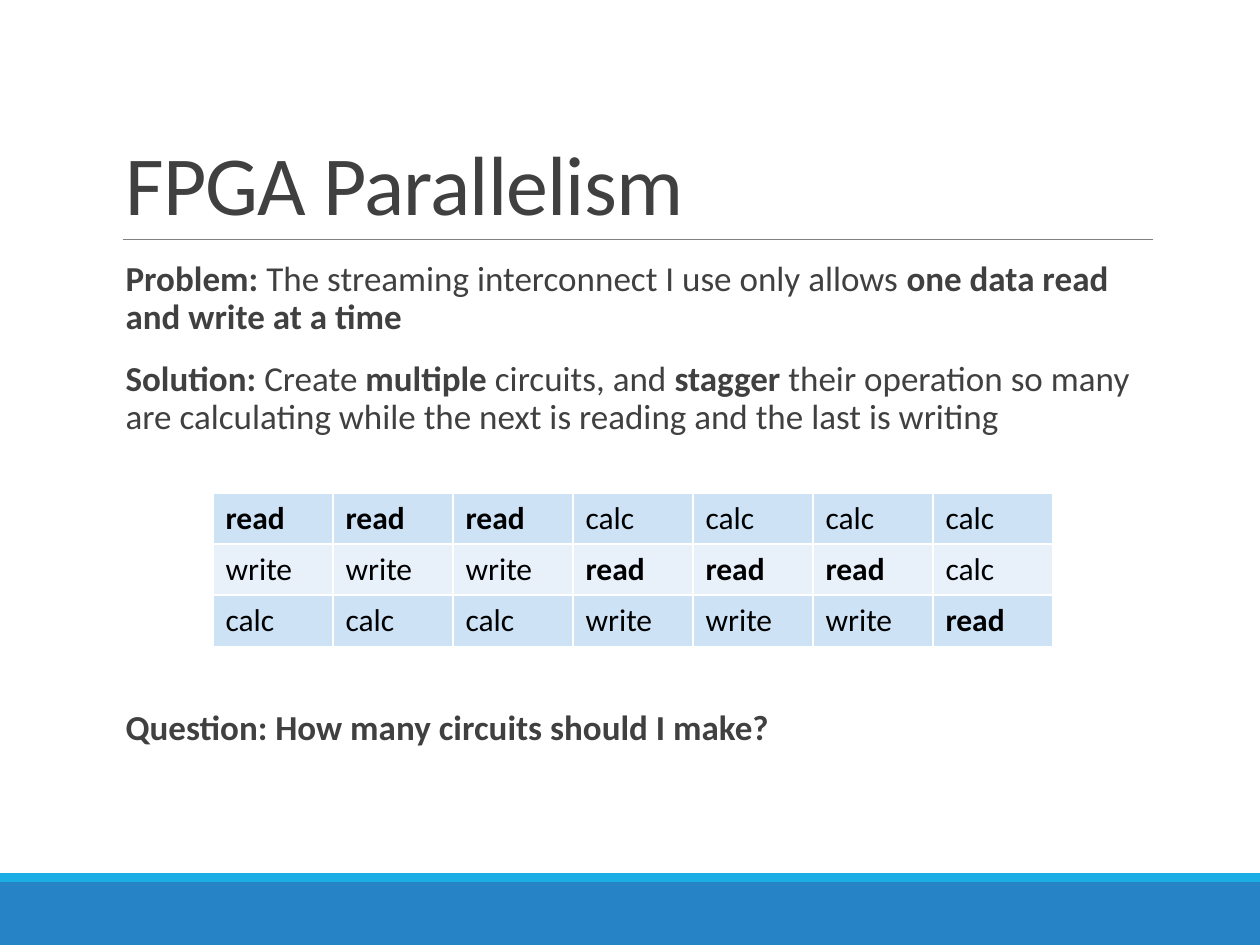
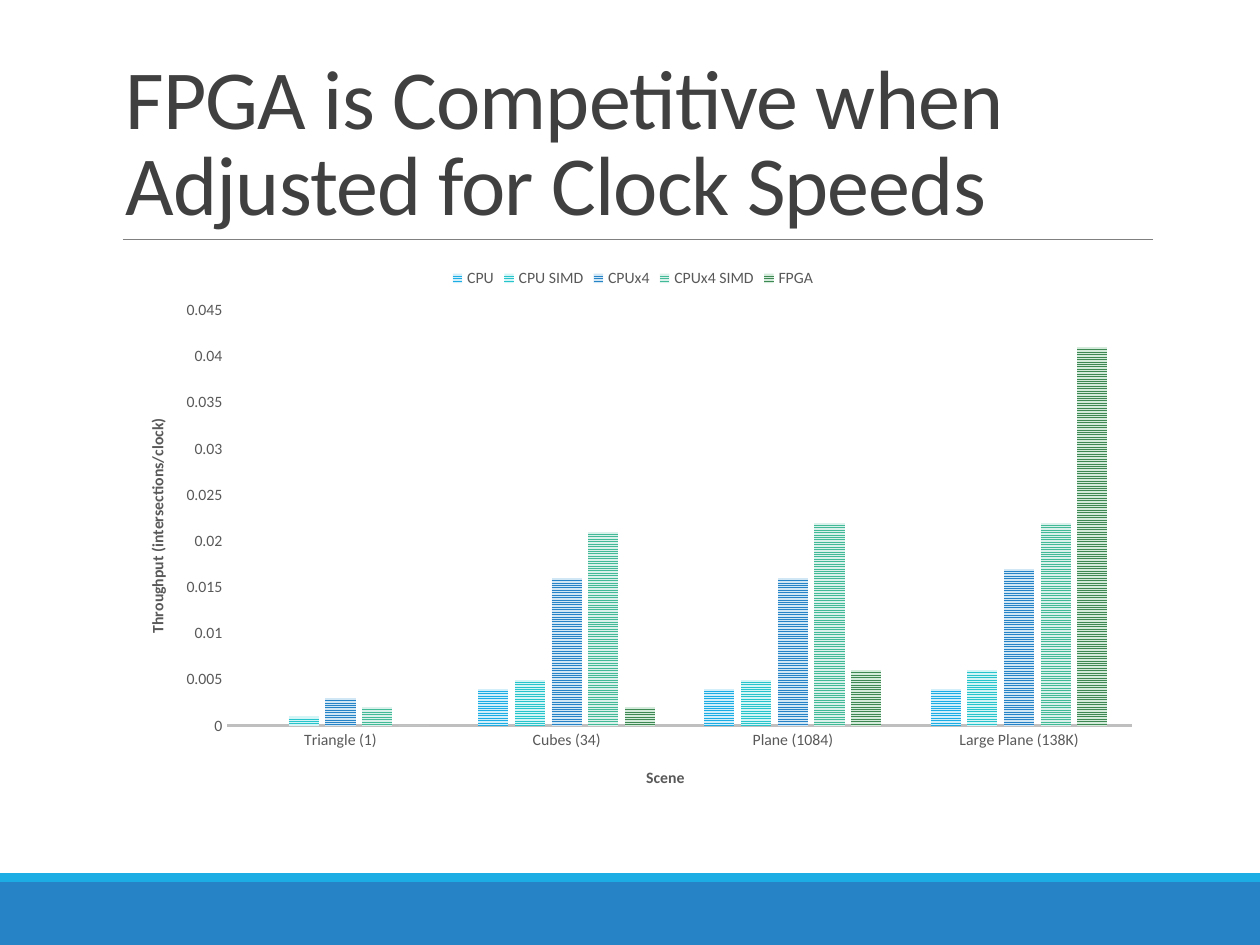
from lxml import etree
from pptx import Presentation
from pptx.chart.data import CategoryChartData
from pptx.dml.color import RGBColor
from pptx.enum.chart import XL_CHART_TYPE, XL_LEGEND_POSITION, XL_TICK_MARK
from pptx.enum.dml import MSO_PATTERN
from pptx.enum.shapes import MSO_CONNECTOR, MSO_SHAPE
from pptx.enum.text import MSO_ANCHOR, MSO_AUTO_SIZE, PP_ALIGN
from pptx.oxml.ns import qn
from pptx.util import Pt

COLUMN_CLUSTERED = XL_CHART_TYPE.COLUMN_CLUSTERED
LEGEND_TOP = XL_LEGEND_POSITION.TOP
NO_TICKS = XL_TICK_MARK.NONE
STRIPES = MSO_PATTERN.NARROW_HORIZONTAL
STRAIGHT = MSO_CONNECTOR.STRAIGHT
RECTANGLE = MSO_SHAPE.RECTANGLE
BOTTOM, TOP = MSO_ANCHOR.BOTTOM, MSO_ANCHOR.TOP
NO_AUTOFIT = MSO_AUTO_SIZE.NONE
LEFT = PP_ALIGN.LEFT

EMU_PER_PX = 914400 / 126
FONT = "Calibri"
COLORS = {
    "text": "404040", "black": "000000", "white": "FFFFFF",
    "band": "2683C6", "stripe": "1CADE4", "rule": "808080",
    "row_dark": "CDE3F5", "row_light": "E8F1FA",
    "chart_text": "595959", "axis": "BFBFBF",
}
CONTENT_BOX = (113, 255, 1040, 554)
TITLE_ONLY, TITLE_AND_CONTENT = 5, 1

# Text between asterisks is bold; the number is the space before in points.
BODY = [
    ("*Problem: *The streaming interconnect I use only allows "
     "*one data read and write at a time*", 12),
    ("*Solution: *Create *multiple *circuits, and *stagger* their operation "
     "so many are calculating while the next is reading and the last is writing", 12),
    ("*Question: How many circuits should I make?*", 154),
]
SCHEDULE = [
    ["read"] * 3 + ["calc"] * 4,
    ["write"] * 3 + ["read"] * 3 + ["calc"],
    ["calc"] * 3 + ["write"] * 3 + ["read"],
]
SCENES = ["Triangle (1)", "Cubes (34)", "Plane (1084)", "Large Plane (138K)"]
THROUGHPUT = [  # name, values, stripe colour, background colour
    ("CPU", [None, 0.004, 0.004, 0.004], "1CADE4", "D2EFFA"),
    ("CPU SIMD", [0.001, 0.005, 0.005, 0.006], "28C4CC", "D3F5F6"),
    ("CPUx4", [0.003, 0.016, 0.016, 0.017], "2683C6", "D1E7F6"),
    ("CPUx4 SIMD", [0.002, 0.021, 0.022, 0.022], "42BA97", "D9F1EA"),
    ("FPGA", [0, 0.002, 0.006, 0.041], "3E8853", "D4EBDB"),
]


def px(n):
    return round(n * EMU_PER_PX)


def box(*lengths):
    return [px(n) for n in lengths]


def rgb(name):
    return RGBColor.from_string(COLORS[name])


def style_font(font, size, color, bold=False):
    font.name, font.size, font.bold = FONT, Pt(size), bold
    font.color.rgb = rgb(color)


def place(sp, *lengths):
    sp.left, sp.top, sp.width, sp.height = box(*lengths)


def add_band(s, top, height, color):
    sp = s.shapes.add_shape(RECTANGLE, *box(0, top, 1260, height))
    sp.shadow.inherit = False
    sp.fill.solid()
    sp.fill.fore_color.rgb = rgb(color)
    sp.line.fill.background()


def add_title_rule(s):
    rule = s.shapes.add_connector(STRAIGHT, *box(123, 239, 1153, 239))
    rule.line.color.rgb = rgb("rule")
    rule.line.width = Pt(0.5)
    etree.SubElement(rule._element.spPr, qn("a:effectLst"))


def set_title(s, text):
    title = s.shapes.title
    place(title, 113, 39, 1040, 200)
    tf = title.text_frame
    tf.text = text
    tf.vertical_anchor, tf.auto_size = BOTTOM, NO_AUTOFIT
    p = tf.paragraphs[0]
    p.alignment, p.line_spacing = LEFT, 0.85
    r = p.runs[0]
    style_font(r.font, 48, "text")
    r._r.get_or_add_rPr().set("spc", "-50")


def add_slide(prs, layout, title):
    """Add a slide with the shared bands, title and rule."""
    s = prs.slides.add_slide(prs.slide_layouts[layout])
    add_band(s, 882, 63, "band")
    add_band(s, 873, 9, "stripe")
    add_title_rule(s)
    set_title(s, title)
    return s


def fill_body(body, paragraphs):
    place(body, *CONTENT_BOX)
    tf = body.text_frame
    tf.margin_left = tf.margin_right = 0
    tf.vertical_anchor, tf.auto_size = TOP, NO_AUTOFIT
    for i, (text, space_before) in enumerate(paragraphs):
        p = tf.add_paragraph() if i else tf.paragraphs[0]
        p.line_spacing = 0.9
        p.space_before, p.space_after = Pt(space_before), Pt(2)
        pPr = p._p.get_or_add_pPr()
        pPr.set("marL", "91440")
        pPr.set("indent", "0")
        etree.SubElement(pPr, qn("a:buNone"))
        for j, part in enumerate(text.split("*")):
            if part:
                r = p.add_run()
                r.text = part
                style_font(r.font, 20, "text", bold=j % 2 == 1)


def set_borders(cell, color):
    tcPr = cell._tc.get_or_add_tcPr()
    for side in ("lnL", "lnR", "lnT", "lnB"):
        ln = etree.SubElement(tcPr, qn(f"a:{side}"), w="12700")
        fill = etree.SubElement(ln, qn("a:solidFill"))
        etree.SubElement(fill, qn("a:srgbClr"), val=COLORS[color])


def add_schedule(s, rows, left, top, col_width, row_height):
    n_rows, n_cols = len(rows), len(rows[0])
    table = s.shapes.add_table(
        n_rows, n_cols,
        *box(left, top, n_cols * col_width, n_rows * row_height)).table
    table.first_row = table.horz_banding = False
    for i, row in enumerate(rows):
        for j, step in enumerate(row):
            cell = table.cell(i, j)
            cell.text = step
            style_font(cell.text_frame.paragraphs[0].runs[0].font,
                       18, "black", bold=step == "read")
            set_borders(cell, "white")
            cell.fill.solid()
            cell.fill.fore_color.rgb = rgb("row_light" if i % 2 else "row_dark")


def set_layout(parent, **fractions):
    """Fix a chart part at fractions of the chart's width and height."""
    layout = parent.find(qn("c:layout"))
    if layout is None:
        layout = etree.Element(qn("c:layout"))
        parent.insert(0 if parent.find(qn("c:tx")) is None else 1, layout)
    manual = etree.SubElement(layout, qn("c:manualLayout"))
    if "w" in fractions:
        etree.SubElement(manual, qn("c:layoutTarget"), val="inner")
    for key in ("x", "y"):
        etree.SubElement(manual, qn(f"c:{key}Mode"), val="edge")
    for key, value in fractions.items():
        etree.SubElement(manual, qn(f"c:{key}"), val=str(value))


def style_axis(axis, title, x, y):
    axis.has_major_gridlines = False
    axis.major_tick_mark = axis.minor_tick_mark = NO_TICKS
    style_font(axis.tick_labels.font, 9, "chart_text")
    tf = axis.axis_title.text_frame
    tf.text = title
    style_font(tf.paragraphs[0].runs[0].font, 9, "chart_text", bold=True)
    set_layout(axis.axis_title._element, x=x, y=y)


def add_throughput_chart(s):
    data = CategoryChartData()
    data.categories = SCENES
    for name, values, _, _ in THROUGHPUT:
        data.add_series(name, values)
    chart = s.shapes.add_chart(COLUMN_CLUSTERED, *box(*CONTENT_BOX), data).chart
    style_font(chart.font, 10, "black")
    chart.has_title = False
    chart.has_legend = True
    chart.legend.position = LEGEND_TOP
    chart.legend.include_in_layout = False
    style_font(chart.legend.font, 9, "chart_text")

    plot = chart.plots[0]
    plot.gap_width, plot.overlap = 164, -22
    plot.vary_by_categories = False
    for series, (_, _, stripe, back) in zip(plot.series, THROUGHPUT):
        fill = series.format.fill
        fill.patterned()
        fill.pattern = STRIPES
        fill.fore_color.rgb = RGBColor.from_string(stripe)
        fill.back_color.rgb = RGBColor.from_string(back)

    scene_axis, value_axis = chart.category_axis, chart.value_axis
    style_axis(scene_axis, "Scene", x=0.51, y=0.92)
    scene_axis.format.line.color.rgb = rgb("axis")
    scene_axis.format.line.width = Pt(1.5)
    style_axis(value_axis, "Throughput (intersections/clock)", x=0.03, y=0.29)
    value_axis.format.line.fill.background()
    value_axis.minimum_scale, value_axis.maximum_scale = 0, 0.045
    value_axis.major_unit = 0.005
    value_axis.tick_labels.number_format = "General"
    value_axis.tick_labels.number_format_is_linked = False
    plot_area = chart._chartSpace.chart.plotArea
    set_layout(plot_area, x=0.11, y=0.1, w=0.87, h=0.75)


def main():
    prs = Presentation()
    prs.slide_width, prs.slide_height = box(1260, 945)

    s = add_slide(prs, TITLE_AND_CONTENT, "FPGA Parallelism")
    fill_body(s.placeholders[1], BODY)
    add_schedule(s, SCHEDULE, left=213, top=493, col_width=120, row_height=51)

    s = add_slide(prs, TITLE_ONLY,
                  "FPGA is Competitive when Adjusted for Clock Speeds")
    add_throughput_chart(s)

    prs.save("out.pptx")


if __name__ == "__main__":
    main()
